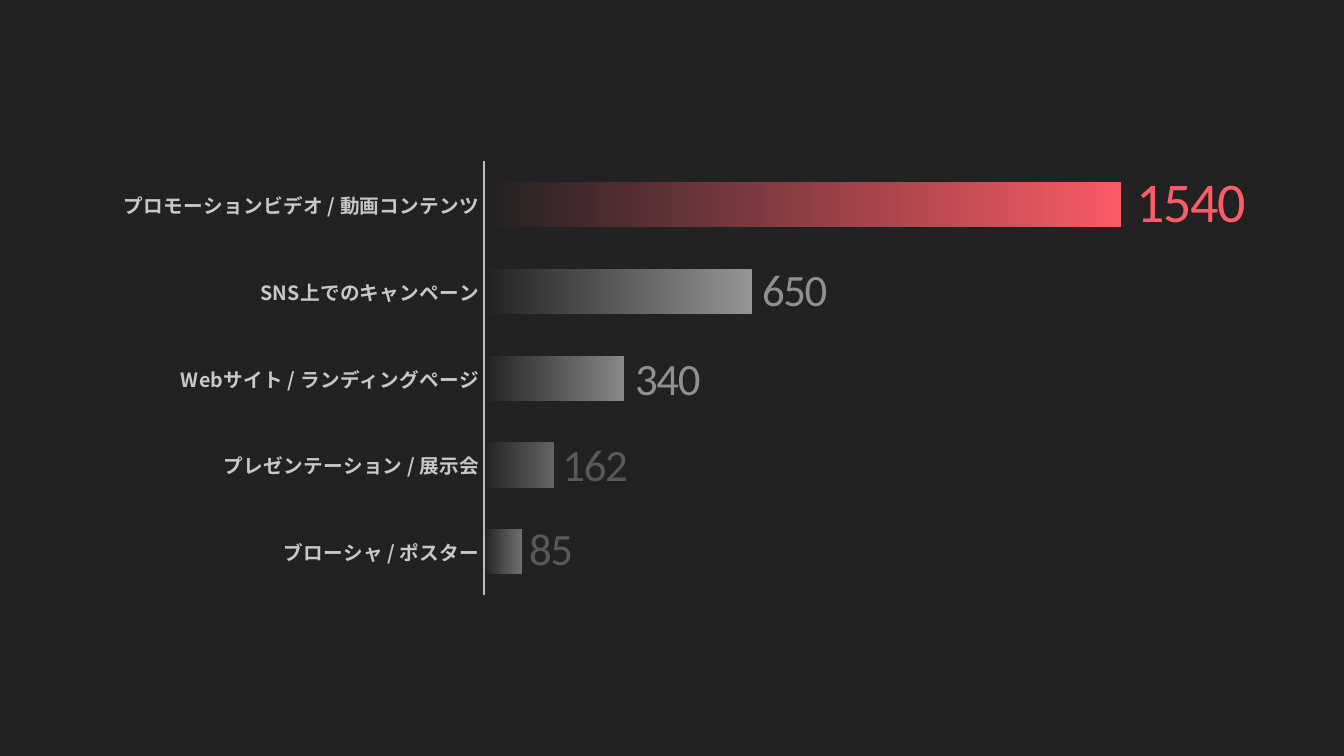
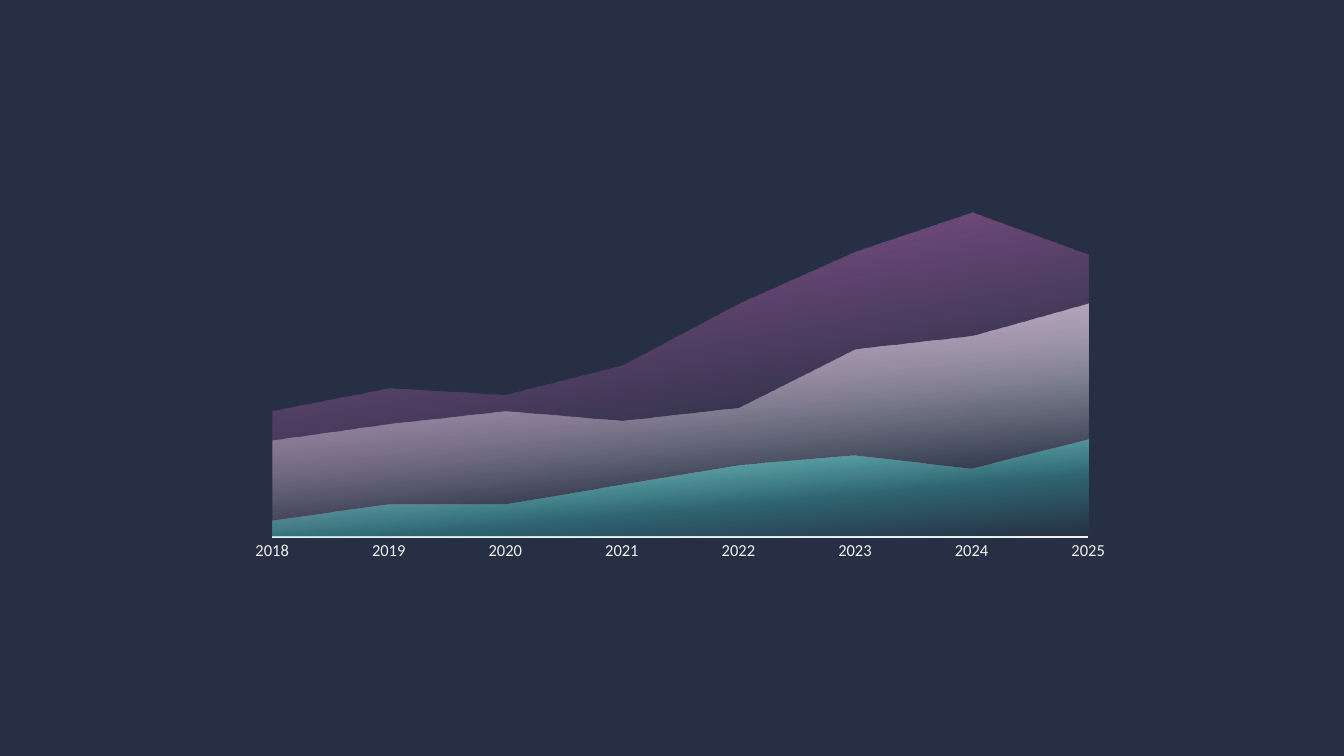
import pptx
import pptx.chart.data
import pptx.dml.color
import pptx.enum.chart
import pptx.enum.text
import pptx.oxml
import pptx.oxml.ns
import pptx.util

Inches = pptx.util.Inches
Pt = pptx.util.Pt
ChartType = pptx.enum.chart.XL_CHART_TYPE

LATIN = "Calibri"
JAPANESE = "Noto Sans CJK JP"
CHARCOAL = "222222"
NAVY = "272F44"
RED = "FE5C68"
BAR_GRAY = "979799"
MID_GRAY = "909090"
DARK_GRAY = "595959"
CHART_TEXT = "525254"

CHANNELS = [
    ("ブローシャ / ポスター", 6, BAR_GRAY, 69),
    ("プレゼンテーション / 展示会", 11, BAR_GRAY, 59),
    ("Webサイト / ランディングページ", 22, BAR_GRAY, 89),
    ("SNS上でのキャンペーン", 42, BAR_GRAY, 100),
    ("プロモーションビデオ / 動画コンテンツ", 100, RED, 100),
]
BAR_LABELS = [
    ("1540", (11.17, 1.6, 1.55, 0.77), 40, RED),
    ("650", (7.46, 2.55, 1.17, 0.64), 32, MID_GRAY),
    ("340", (6.2, 3.43, 1.15, 0.64), 32, MID_GRAY),
    ("162", (5.48, 4.28, 1.15, 0.64), 32, DARK_GRAY),
    ("85", (5.15, 5.12, 0.94, 0.64), 32, DARK_GRAY),
]
YEARS = [str(year) for year in range(2018, 2026)]
AREAS = [
    ("Series 1", (39, 46, 44, 53, 72, 88, 100, 87), "965898", 70, 80),
    ("Series 2", (30, 35, 39, 36, 40, 58, 62, 72), "FFFFFF", 79, 85),
    ("Series 3", (5, 10, 10, 16, 22, 25, 21, 30), "3EC2BF", 100, 85),
]


def color(value):
    return pptx.dml.color.RGBColor.from_string(value)


def add_page(deck, background):
    page = deck.slides.add_slide(deck.slide_layouts[6])
    page.background.fill.solid()
    page.background.fill.fore_color.rgb = color(background)
    return page


def add_text(page, text, place, *, size, ink, font=LATIN, spacing=-1):
    box = page.shapes.add_textbox(*map(Inches, place))
    frame = box.text_frame
    frame.word_wrap = True
    frame.auto_size = pptx.enum.text.MSO_AUTO_SIZE.SHAPE_TO_FIT_TEXT
    span = frame.paragraphs[0].add_run()
    span.text = text
    span.font.size = Pt(size)
    span.font.name = font
    span.font.color.rgb = color(ink)
    span.font._element.set("spc", str(spacing * 100))
    return box


def set_gradient(chart_format, stops, angle):
    marks = "".join(
        f'<a:gs pos="{position * 1000}"><a:srgbClr val="{tint}">'
        f'<a:alpha val="{opacity * 1000}"/></a:srgbClr></a:gs>'
        for position, tint, opacity in stops
    )
    gradient = pptx.oxml.parse_xml(
        f'<a:gradFill rotWithShape="1" {pptx.oxml.ns.nsdecls("a")}>'
        f'<a:gsLst>{marks}</a:gsLst>'
        f'<a:lin ang="{angle * 60000}" scaled="0"/></a:gradFill>'
    )
    chart_format._element.get_or_add_spPr().insert(0, gradient)
    chart_format.line.fill.background()


def set_plot_layout(chart, place):
    plot_area = chart._chartSpace.chart.plotArea
    for old in plot_area.xpath("./c:layout"):
        plot_area.remove(old)
    sizes = "".join(
        f'<c:{name} val="{value}"/>' for name, value in zip("xywh", place)
    )
    plot_area.insert(0, pptx.oxml.parse_xml(
        f'<c:layout {pptx.oxml.ns.nsdecls("c")}><c:manualLayout>'
        '<c:layoutTarget val="inner"/><c:xMode val="edge"/>'
        f'<c:yMode val="edge"/>{sizes}</c:manualLayout></c:layout>'
    ))


def set_font(font, *, name, size, ink, bold=False):
    font.name = name
    font.size = Pt(size)
    font.bold = bold
    font.color.rgb = color(ink)
    font._element.get_or_add_latin().addnext(pptx.oxml.parse_xml(
        f'<a:ea typeface="{name}" {pptx.oxml.ns.nsdecls("a")}/>'
    ))


def add_chart(page, kind, place, categories, series, *, layout, maximum,
              axis_color, axis_width, label_format):
    data = pptx.chart.data.CategoryChartData()
    data.categories = categories
    for name, values in series:
        data.add_series(name, values)
    chart = page.shapes.add_chart(kind, *map(Inches, place), data).chart
    chart.has_title = False
    chart.has_legend = False
    set_font(chart.font, name=JAPANESE, size=10, ink=CHART_TEXT)
    chart.plots[0].vary_by_categories = False
    set_plot_layout(chart, layout)

    value_axis = chart.value_axis
    value_axis.visible = False
    value_axis.has_major_gridlines = False
    value_axis.minimum_scale = 0
    value_axis.maximum_scale = maximum

    category_axis = chart.category_axis
    category_axis.has_major_gridlines = False
    category_axis.major_tick_mark = pptx.enum.chart.XL_TICK_MARK.NONE
    category_axis.minor_tick_mark = pptx.enum.chart.XL_TICK_MARK.NONE
    category_axis.format.line.color.rgb = color(axis_color)
    category_axis.format.line.width = Pt(axis_width)
    set_font(category_axis.tick_labels.font, **label_format)
    return chart


def build_channel_page(deck):
    page = add_page(deck, CHARCOAL)
    chart = add_chart(
        page, ChartType.BAR_CLUSTERED, (1, 1.59, 11.37, 4.62),
        [channel[0] for channel in CHANNELS],
        [("Series 1", [channel[1] for channel in CHANNELS])],
        layout=(0.334, 0, 0.648, 0.934), maximum=116.6,
        axis_color="BFBFBF", axis_width=1.5,
        label_format=dict(name=JAPANESE, size=14, ink="C8C8C8", bold=True),
    )
    chart.plots[0].gap_width = 97
    bars = chart.plots[0].series[0]
    bars.invert_if_negative = False
    for index, (_, _, tint, opacity) in enumerate(CHANNELS):
        stops = [(0, tint, 0), (100, tint, opacity)]
        set_gradient(bars.points[index].format, stops, 0)
    for text, place, size, ink in BAR_LABELS:
        add_text(page, text, place, size=size, ink=ink)


def build_trend_page(deck):
    page = add_page(deck, NAVY)
    chart = add_chart(
        page, ChartType.AREA, (2.37, 1.49, 8.59, 4.14), YEARS,
        [area[:2] for area in AREAS],
        layout=(0.039, 0.028, 0.957, 0.899), maximum=115.8,
        axis_color="F2F2F2", axis_width=2,
        label_format=dict(name=LATIN, size=12, ink="F2F2F2"),
    )
    for crossing in chart.value_axis._element.xpath("./c:crossBetween"):
        crossing.set("val", "midCat")
    for series, (_, _, tint, fade, angle) in zip(chart.plots[0].series, AREAS):
        stops = [(0, tint, 100), (fade, tint, 0)]
        set_gradient(series.format, stops, angle)


def main():
    deck = pptx.Presentation()
    deck.slide_width = Inches(13.33)
    deck.slide_height = Inches(7.5)
    build_channel_page(deck)
    build_trend_page(deck)
    deck.save("out.pptx")


if __name__ == "__main__":
    main()
